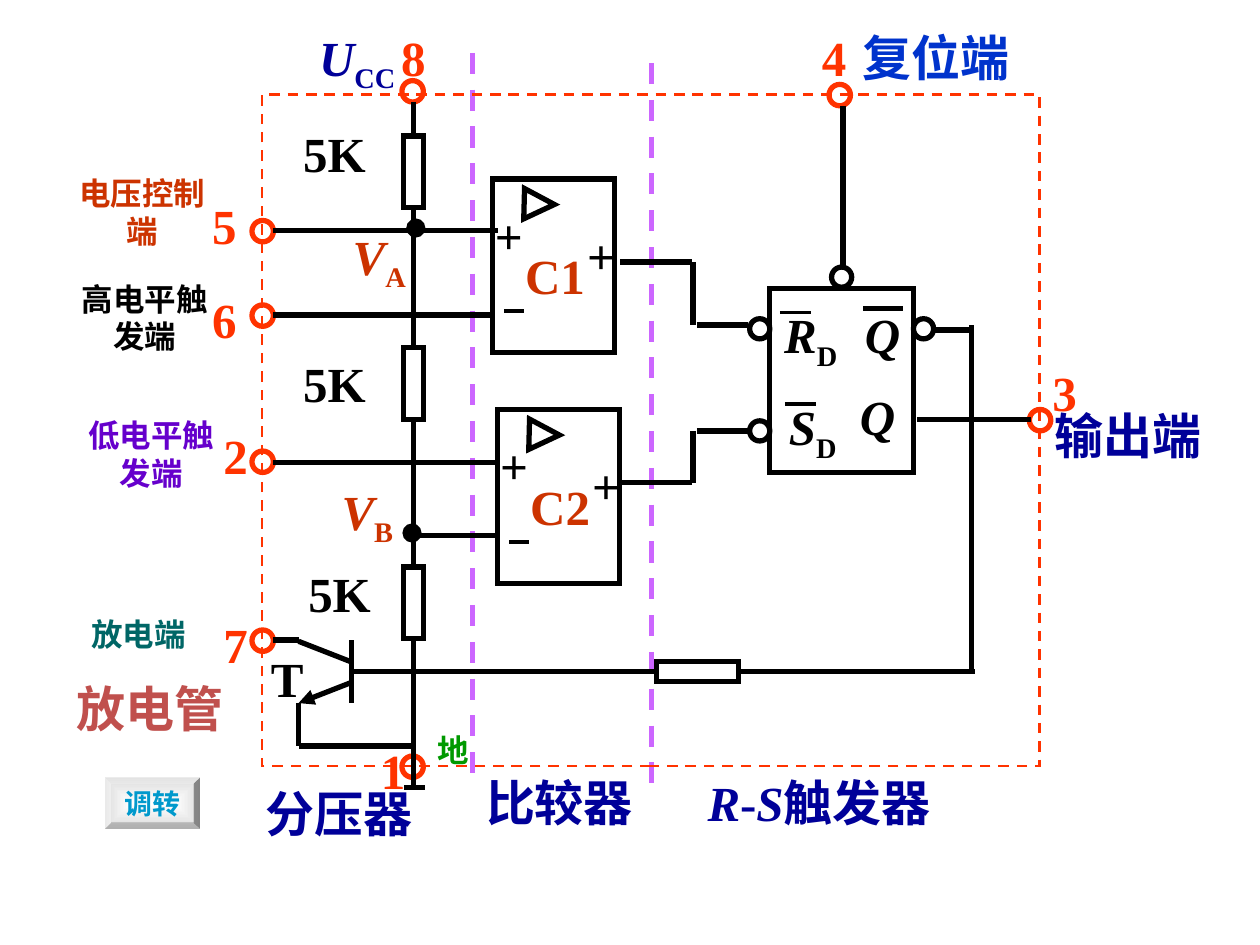
from lxml import etree
from pptx import Presentation
from pptx.dml.color import RGBColor
from pptx.enum import dml, shapes, text
from pptx.oxml.ns import qn
from pptx.util import Inches, Pt


class Theme:
    font = "Times New Roman"
    large, medium, button = 28, 18, 16
    wire, thin, frame = 3, 2.25, 1.5
    black, white = "000000", "FFFFFF"
    navy, blue, cyan = "000099", "0033CC", "0099CC"
    rust, red, brick = "CC3300", "FF3300", "C0504D"
    purple, lilac, teal, green = "6600CC", "CC66FF", "006666", "009900"
    silver = "DCDCDC"


deck = Presentation()
deck.slide_width, deck.slide_height = Inches(10), Inches(7.5)
page = deck.slides.add_slide(deck.slide_layouts[6])


def write(spans, at=None, box=None, size=Theme.large, color=Theme.black, wrap=False, middle=False):
    """Write a string, or (string, style) pairs with style "", "italic" or "sub", in a box."""
    if box is None:
        box = page.shapes.add_textbox(*map(Inches, at))
        box.text_frame.auto_size = text.MSO_AUTO_SIZE.SHAPE_TO_FIT_TEXT
    frame = box.text_frame
    frame.word_wrap = wrap
    frame.vertical_anchor = text.MSO_ANCHOR.MIDDLE if middle else text.MSO_ANCHOR.TOP
    para = frame.paragraphs[0]
    para.alignment = text.PP_ALIGN.CENTER
    for words, style in [(spans, "")] if isinstance(spans, str) else spans:
        span = para.add_run()
        span.text = words
        span.font.name, span.font.size, span.font.bold = Theme.font, Pt(size), True
        span.font.italic = style == "italic"
        span.font.color.rgb = RGBColor.from_string(color)
        if style == "sub":
            span.font._element.set("baseline", "-25000")


def wire(start, end, color=Theme.black, width=Theme.wire, dashed=False, arrow=False):
    """Draw a line; each end is a point (x, y) or a pair (shape, side number)."""
    glued = [not isinstance(tip[0], (int, float)) for tip in (start, end)]
    points = [(0, 0) if joined else tip for joined, tip in zip(glued, (start, end))]
    line = page.shapes.add_connector(
        shapes.MSO_CONNECTOR.STRAIGHT, *[Inches(value) for point in points for value in point])
    if glued[0]:
        line.begin_connect(*start)
    if glued[1]:
        line.end_connect(*end)
    line.line.color.rgb = RGBColor.from_string(color)
    line.line.width = Pt(width)
    if dashed:
        line.line.dash_style = dml.MSO_LINE.DASH
    if arrow:
        etree.SubElement(line.line._get_or_add_ln(), qn("a:tailEnd"), type="triangle")
    etree.SubElement(line._element.spPr, qn("a:effectLst"))


# Stage dividers
for x, top in ((3.75, 0.42), (5.17, 0.5)):
    wire((x, top), (x, top + 5.83), color=Theme.lilac, dashed=True)

# Outlined shapes: key, preset, place, fill, line colour, line width
RECT, OVAL, TRIANGLE = shapes.MSO_SHAPE.RECTANGLE, shapes.MSO_SHAPE.OVAL, shapes.MSO_SHAPE.ISOSCELES_TRIANGLE
comparators = {"C1": (3.91, 1.42), "C2": (3.95, 3.25)}
dividers = {"top": 1.08, "middle": 2.76, "bottom": 4.5}
pins = {"3": (8.17, 3.25), "4": (6.58, 0.67), "8": (3.19, 0.64), "7": (2, 5),
        "2": (2, 3.58), "6": (2, 2.42), "5": (2, 1.75), "1": (3.19, 6)}
bubbles = [(5.95, 3.34), (5.95, 2.53), (7.25, 2.53), (6.6, 2.12)]
dots = [(3.24, 1.75), (3.21, 4.17)]

outlines = [(key, RECT, (3.2, y, 0.16, 0.57), None, Theme.black, Theme.wire) for key, y in dividers.items()]
outlines += [("feedback", RECT, (5.21, 5.25, 0.65, 0.16), None, Theme.black, Theme.wire),
             ("flip-flop", RECT, (6.11, 2.29, 1.14, 1.46), None, Theme.black, Theme.wire)]
for key, (x, y) in comparators.items():
    outlines += [(key, RECT, (x, y, 0.97, 1.38), None, Theme.black, Theme.wire),
                 (key + " gain", TRIANGLE, (x + 0.25, y + 0.08, 0.24, 0.24), None, Theme.black, Theme.wire)]
outlines += [("bubble", OVAL, (x, y, 0.16, 0.16), None, Theme.black, Theme.wire) for x, y in bubbles]
outlines += [("pin " + key, OVAL, (x, y, 0.17, 0.17), None if key == "1" else Theme.white, Theme.red, Theme.wire)
             for key, (x, y) in pins.items()]
outlines += [("dot", OVAL, (x, y, 0.12, 0.12), Theme.black, Theme.black, Theme.thin) for x, y in dots]
outlines += [("chip", RECT, (2.08, 0.75, 6.17, 5.33), None, Theme.red, Theme.frame)]

parts = {}
for key, preset, place, fill, color, width in outlines:
    part = parts[key] = page.shapes.add_shape(preset, *map(Inches, place))
    part.shadow.inherit = False
    if fill:
        part.fill.solid()
        part.fill.fore_color.rgb = RGBColor.from_string(fill)
    else:
        part.fill.background()
    part.line.color.rgb = RGBColor.from_string(color)
    part.line.width = Pt(width)
    if key == "chip":
        part.line.dash_style = dml.MSO_LINE.DASH
    if preset == TRIANGLE:
        part.rotation = 91.5
    etree.SubElement(part.line._get_or_add_ln(), qn("a:miter"), lim="800000")

# Voltage divider and feedback wires, joined to their resistors
wire((3.28, 0.81), (parts["top"], 0))
wire((parts["top"], 2), (parts["middle"], 0))
wire((parts["middle"], 2), (parts["bottom"], 0))
wire((parts["bottom"], 2), (3.28, 6.25))
wire((2.79, 5.33), (parts["feedback"], 1))
wire((parts["feedback"], 3), (7.74, 5.33))

# Horizontal wires: left, right, height
for left, right, y in [
    (2.17, 3.95, 1.83), (2.17, 3.91, 2.5), (2.17, 3.95, 3.67), (3.29, 3.94, 4.25),
    (4.92, 5.49, 2.08), (5.53, 5.94, 2.58), (4.92, 5.49, 3.83), (5.53, 5.94, 3.42),
    (7.41, 7.73, 2.62), (7.28, 8.18, 3.33), (2.17, 2.37, 5.08), (2.37, 3.27, 5.92),
    (3.21, 3.37, 6.25), (6.85, 7.17, 2.45),
]:
    wire((left, y), (right, y))

# Vertical wires: place, top, bottom
for x, top, bottom in [(5.5, 2.08, 2.58), (5.5, 3.42, 3.83), (6.69, 0.84, 2.12),
                       (7.71, 2.58, 5.33), (2.79, 5.08, 5.58), (2.37, 5.58, 5.92)]:
    wire((x, top), (x, bottom))

# Transistor legs and the bars over R and S
wire((2.37, 5.09), (2.78, 5.25))
wire((2.78, 5.42), (2.37, 5.58), arrow=True)
for x, y in ((6.19, 2.48), (6.23, 3.21)):
    wire((x, y), (x + 0.25, y), width=Theme.thin)

# Comparator labels
for name, (x, y) in comparators.items():
    write("+", (x - 0.08, y + 0.16, 0.41, 0.57), wrap=True)
    write("+", (x + 0.65, y + 0.32, 0.42, 0.57))
    write(name, (x + 0.05, y + 0.48, 0.89, 0.57), color=Theme.rust, wrap=True)
    wire((x + 0.09, y + 1.05), (x + 0.25, y + 1.05), width=Theme.thin)

# Resistor values, pin numbers and circuit symbols
for x, y in ((2.29, 0.93), (2.29, 2.76), (2.33, 4.42)):
    write("5K", (x, y, 0.73, 0.57), wrap=True)
for number, x, y in [("2", 1.67, 3.33), ("4", 6.42, 0.17), ("5", 1.58, 1.5), ("6", 1.58, 2.25),
                     ("7", 1.67, 4.83), ("8", 3.08, 0.17), ("3", 8.25, 2.83), ("1", 2.92, 5.83)]:
    write(number, (x, y, 0.4, 0.57), color=Theme.red)
for letter, index, place, color in [
    ("V", "A", (2.67, 1.75, 0.68, 0.57), Theme.rust), ("V", "B", (2.42, 3.77, 0.99, 0.57), Theme.rust),
    ("U", "CC", (2.38, 0.17, 0.91, 0.57), Theme.navy), ("R", "D", (6.03, 2.37, 0.81, 0.57), Theme.black),
    ("S", "D", (6.14, 3.1, 0.62, 0.57), Theme.black),
]:
    write([(letter, "italic"), (index, "sub")], place, color=color)
for place in ((6.68, 3.02, 0.57, 0.57), (6.75, 2.37, 0.51, 0.57)):
    write([("Q", "italic")], place)
write("T", (1.79, 5.1, 0.98, 0.57), wrap=True)

# Pin names
for name, place, color in [
    ("电压控制端", (0.5, 1.33, 1.26, 0.71), Theme.rust), ("高电平触发端", (0.5, 2.17, 1.3, 0.71), Theme.black),
    ("低电平触发端", (0.58, 3.25, 1.24, 0.71), Theme.purple), ("放电端", (0.62, 4.83, 0.96, 0.4), Theme.teal),
    ("地", (3.36, 5.75, 0.47, 0.4), Theme.green),
]:
    write(name, place, size=Theme.medium, color=color, wrap=len(name) > 3)
write("复位端", (6.74, 0.17, 1.38, 0.57), color=Theme.blue)
write("输出端", (8.08, 3.17, 1.75, 0.57), color=Theme.navy, wrap=True)

# Stage names
for name, x, y, color in [("分压器", 2, 6.17, Theme.navy), ("比较器", 3.75, 6.08, Theme.navy),
                          ("放电管", 0.5, 5.33, Theme.brick)]:
    write(name, (x, y, 1.38, 0.57), color=color, middle=True)
write([("R", "italic"), ("-", ""), ("S", "italic"), ("触发器", "")], (5.49, 6.08, 2.02, 0.57),
      color=Theme.navy, wrap=True, middle=True)

# Button
button = page.shapes.add_shape(shapes.MSO_SHAPE.BEVEL, *map(Inches, (0.83, 6.17, 0.76, 0.41)))
button.shadow.inherit = False
button.line.fill.background()
button.fill.gradient()
for stop, color, position in zip(button.fill.gradient_stops, (Theme.white, Theme.silver), (0, 1)):
    stop.color.rgb = RGBColor.from_string(color)
    stop.position = position
gradient = button._element.spPr.find(qn("a:gradFill"))
gradient.remove(gradient.find(qn("a:lin")))
center = etree.SubElement(gradient, qn("a:path"), path="rect")
etree.SubElement(center, qn("a:fillToRect"), l="50000", t="50000", r="50000", b="50000")
write("调转", box=button, size=Theme.button, color=Theme.cyan, middle=True)

deck.save("out.pptx")
